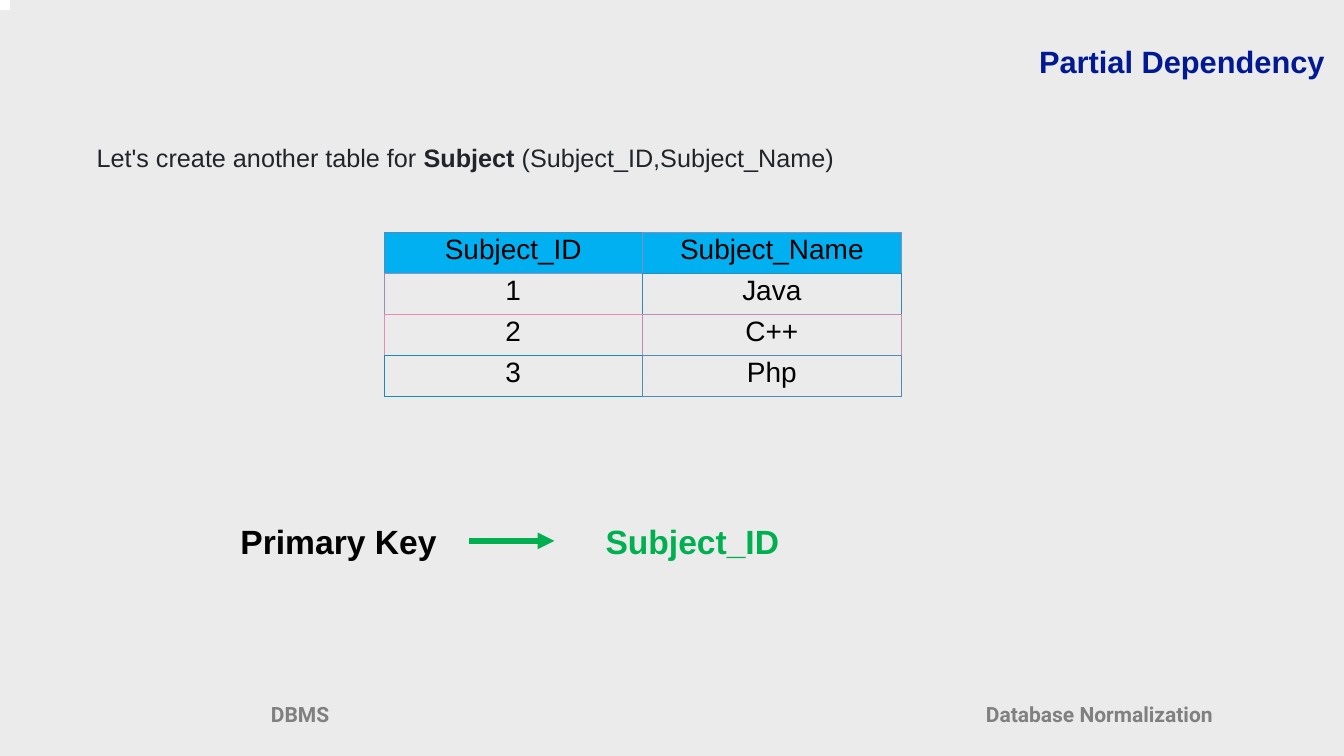
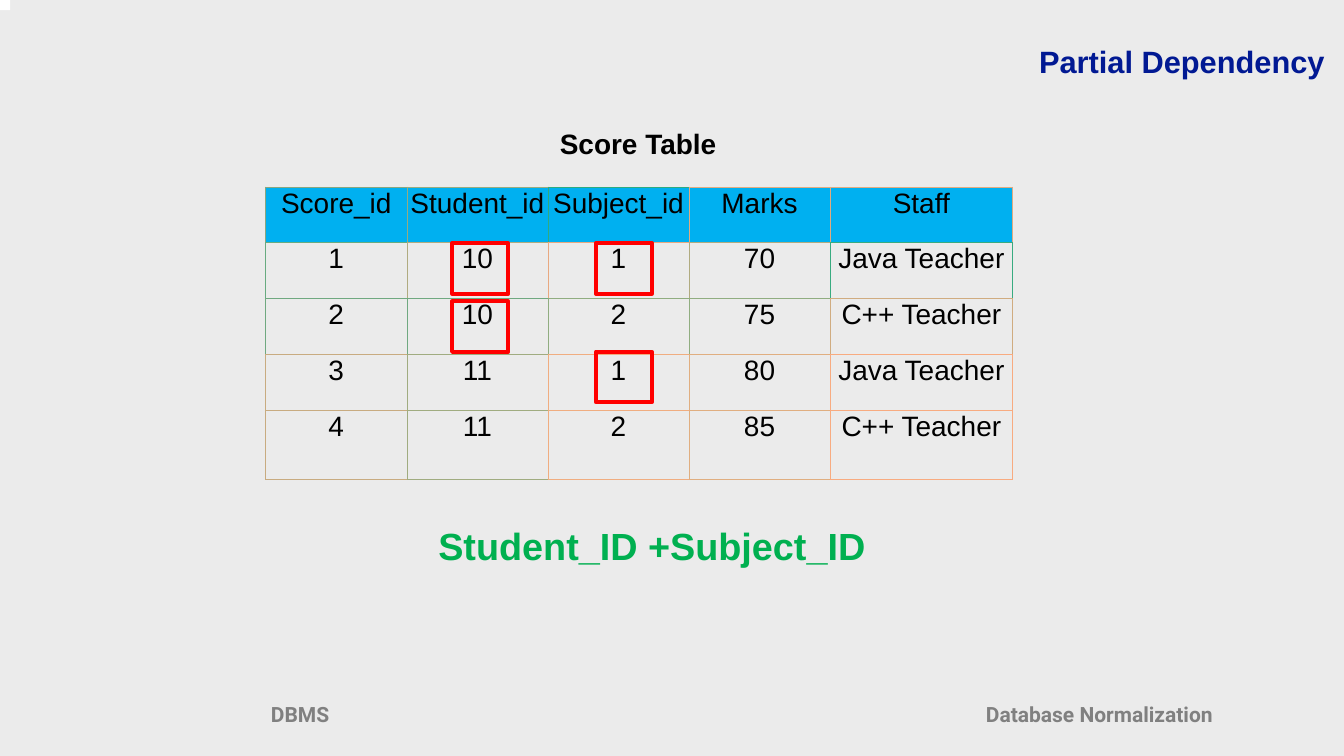
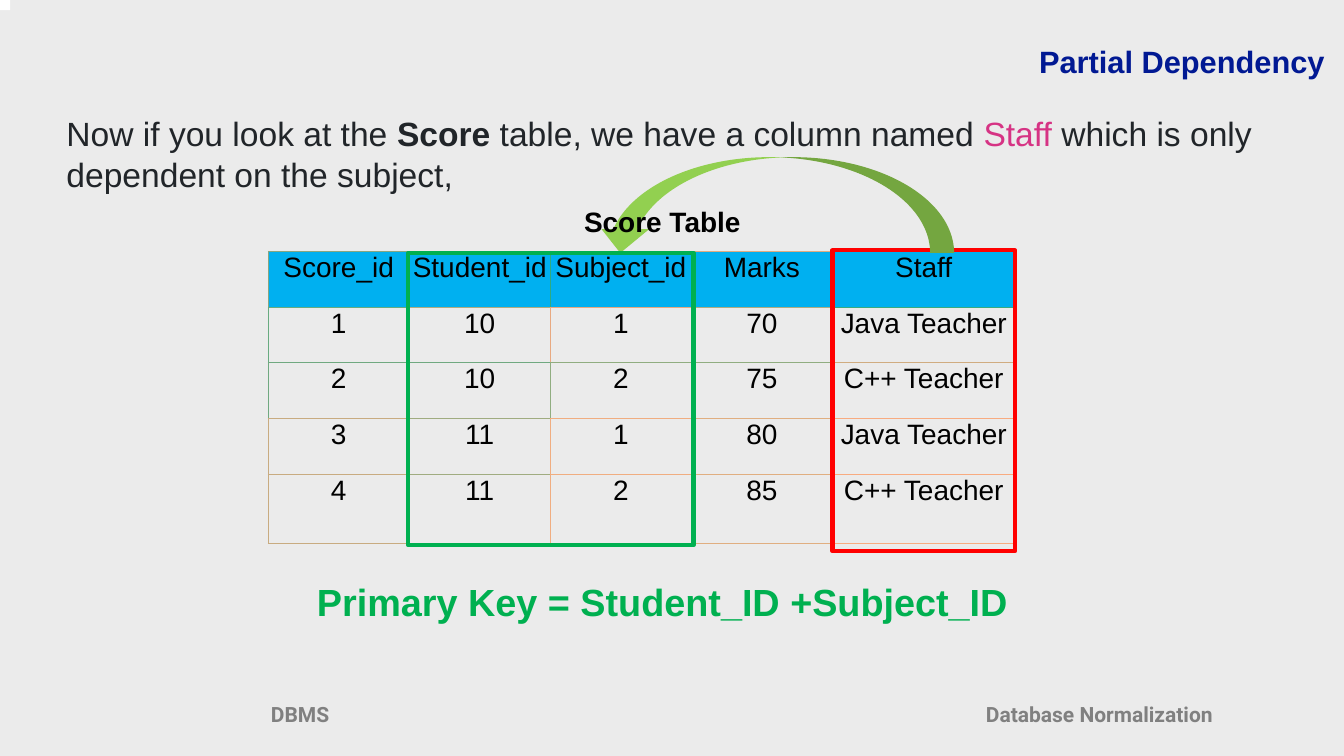
from collections import namedtuple

from lxml import etree
from pptx import Presentation
from pptx import util as u
from pptx.dml.color import RGBColor
from pptx.enum import shapes, text
from pptx.oxml import ns

Box = namedtuple("Box", "left top width height")

BACKGROUND = RGBColor(0xEB, 0xEB, 0xEB)
WHITE = RGBColor(0xFF, 0xFF, 0xFF)
BLACK = RGBColor(0, 0, 0)
GREY = RGBColor(0x80, 0x80, 0x80)
NAVY = RGBColor(0x01, 0x19, 0x93)
INK = RGBColor(0x21, 0x25, 0x29)
PINK = RGBColor(0xD6, 0x33, 0x84)
HEADER_BLUE = RGBColor(0x00, 0xB0, 0xF0)
GREEN = RGBColor(0x00, 0xB0, 0x50)
LIME = RGBColor(0x92, 0xD0, 0x50)
RED = RGBColor(0xFF, 0, 0)

LEFT, CENTER, RIGHT = text.PP_ALIGN.LEFT, text.PP_ALIGN.CENTER, text.PP_ALIGN.RIGHT
MIDDLE, TOP = text.MSO_ANCHOR.MIDDLE, text.MSO_ANCHOR.TOP
INSET = (0.15, 0.15, 0.15, 0.15)

TITLE = {"size": 44, "color": NAVY, "bold": True}
FOOTER = {"name": "Roboto", "size": 30, "color": GREY, "bold": True}
CELL = {"size": 40, "color": BLACK, "bold": False}
CAPTION = {**CELL, "bold": True}
LEAD = {"size": 36, "color": INK, "bold": False}
STATEMENT = {**LEAD, "size": 48}
KEY_LABEL = {"size": 48, "color": BLACK, "bold": True}
KEY = {"size": 54, "color": GREEN, "bold": True}

TITLE_BOX = Box(24.71, 1.98, 42.22, 2.16)
FOOTERS = {"DBMS": Box(6.91, 35.2, 16.43, 1.58),
           "Database Normalization": Box(47.19, 35.2, 16.43, 1.58)}

SUBJECT_ROWS = [("Subject_ID", "Subject_Name"), ("1", "Java"), ("2", "C++"), ("3", "Php")]
SUBJECT_BORDERS = ["588AB6 888DB6", "A08AB6 308BB6", "E88AB6 C08BB6", "188BB6 508CB6"]
SCORE_ROWS = [
    ("Score_id", "Student_id", "Subject_id", "Marks", "Staff"),
    ("1", "10", "1", "70", "Java Teacher"),
    ("2", "10", "2", "75", "C++ Teacher"),
    ("3", "11", "1", "80", "Java Teacher"),
    ("4", "11", "2", "85", "C++ Teacher"),
]
SCORE_BORDERS = [
    "88A680 98AB80 30AA80 E0AB80 E0AB80",
    "68AB80 B0AB80 E8A980 B0AB80 38AB80",
    "70A980 70A980 90AD80 90AD80 D0AC80",
    "C8AB80 A0AC80 F0AD80 E0AE80 F8AB80",
    "C8AB80 A0AC80 F0AD80 E0AE80 F8AB80",
]
SCORE_WIDTHS = [7.11] * 4 + [9.2]
SCORE_HEIGHTS = [2.81] * 4 + [3.5]


def lengths(box):
    """Turn a box in centimetres into slide lengths."""
    return [u.Cm(value) for value in box]


def inside(box, left, top, width, height):
    """Return a box offset from the corner of another."""
    return Box(box.left + left, box.top + top, width, height)


def apply_font(font, style):
    """Set font attributes from a style dict."""
    for name, value in {"name": "Arial", **style}.items():
        if name == "color":
            font.color.rgb = value
        else:
            setattr(font, name, u.Pt(value) if name == "size" else value)


def write(frame, runs, align=CENTER, anchor=MIDDLE, insets=INSET):
    """Fill a text frame with one paragraph of (text, style) runs."""
    settings = {"word_wrap": True, "auto_size": text.MSO_AUTO_SIZE.NONE, "vertical_anchor": anchor}
    sides = ("margin_left", "margin_top", "margin_right", "margin_bottom")
    settings.update(zip(sides, lengths(insets)))
    for name, value in settings.items():
        setattr(frame, name, value)
    paragraph = frame.paragraphs[0]
    paragraph.alignment = align
    for words, style in runs:
        run = paragraph.add_run()
        run.text = words
        apply_font(run.font, style)
    return paragraph


def add_text(slide, box, runs, **layout):
    """Add a text box and return it."""
    shape = slide.shapes.add_textbox(*lengths(box))
    write(shape.text_frame, runs, **layout)
    return shape


def add_filled(slide, kind, box, color):
    """Add a preset shape with a plain fill and no outline."""
    shape = slide.shapes.add_shape(kind, *lengths(box))
    shape.shadow.inherit = False
    shape.fill.solid()
    shape.fill.fore_color.rgb = color
    shape.line.fill.background()
    return shape


def add_highlight(slide, box, color):
    """Add a thick hollow rectangle."""
    shape = slide.shapes.add_shape(shapes.MSO_SHAPE.RECTANGLE, *lengths(box))
    shape.shadow.inherit = False
    shape.fill.background()
    shape.line.color.rgb = color
    shape.line.width = u.Pt(6)


def add_arrow(slide, left, right, height):
    """Add a horizontal green arrow."""
    arrow = slide.shapes.add_connector(
        shapes.MSO_CONNECTOR.STRAIGHT, *lengths((left, height, right, height)))
    arrow.line.color.rgb = GREEN
    arrow.line.width = u.Pt(8)
    properties = arrow._element.spPr
    etree.SubElement(properties.find(ns.qn("a:ln")), ns.qn("a:tailEnd"), type="triangle")
    etree.SubElement(properties, ns.qn("a:effectLst"))


def set_borders(cell, colors):
    """Draw left, right, top and bottom cell borders."""
    properties = cell._tc.get_or_add_tcPr()
    for side, color in zip("LRTB", colors):
        line = etree.SubElement(properties, ns.qn(f"a:ln{side}"), w=str(u.Pt(0.75)))
        fill = etree.SubElement(line, ns.qn("a:solidFill"))
        etree.SubElement(fill, ns.qn("a:srgbClr"), val=color)


def add_grid(slide, left, top, rows, borders, widths, heights, insets):
    """Add a table whose cells share edge colours with the next cells."""
    box = Box(left, top, sum(widths), sum(heights))
    table = slide.shapes.add_table(len(rows), len(widths), *lengths(box)).table
    table.first_row = table.horz_banding = False
    for column, width in zip(table.columns, widths):
        column.width = u.Cm(width)
    for row, height in zip(table.rows, heights):
        row.height = u.Cm(height)
    colors = [line.split() for line in borders]
    last_row, last_column = len(rows) - 1, len(widths) - 1
    for r, values in enumerate(rows):
        for c, value in enumerate(values):
            cell = table.cell(r, c)
            own = colors[r][c]
            following = colors[r][min(c + 1, last_column)]
            below = colors[min(r + 1, last_row)][c]
            set_borders(cell, (own, following, own, below))
            if r == 0:
                cell.fill.solid()
                cell.fill.fore_color.rgb = HEADER_BLUE
            else:
                cell.fill.background()
            sides = ("margin_left", "margin_top", "margin_right", "margin_bottom")
            for name, inset in zip(sides, lengths(insets)):
                setattr(cell, name, inset)
            paragraph = cell.text_frame.paragraphs[0]
            paragraph.alignment = CENTER
            run = paragraph.add_run()
            run.text = value
            apply_font(run.font, CELL)
    return box


def add_score_table(slide, left, top):
    """Add the score table and return its box."""
    return add_grid(slide, left, top, SCORE_ROWS, SCORE_BORDERS,
                    SCORE_WIDTHS, SCORE_HEIGHTS, (0.13, 0.05, 0.13, 0.05))


def add_key_row(slide, box):
    """Add the primary key label, an arrow and the key."""
    shape = add_text(slide, box, [], align=LEFT, insets=(0.28, 0.15, 0.15, 0.15))
    paragraph = shape.text_frame.paragraphs[0]
    tabs = etree.SubElement(paragraph._p.get_or_add_pPr(), ns.qn("a:tabLst"))
    etree.SubElement(tabs, ns.qn("a:tab"), pos=str(u.Cm(18.4)), algn="l")
    for words, style in (("Primary Key\t", KEY_LABEL), ("Subject_ID", {**KEY_LABEL, "color": GREEN})):
        run = paragraph.add_run()
        run.text = words
        apply_font(run.font, style)
    add_arrow(slide, box.left + 11.81, box.left + 16.1, box.top + box.height / 2)


def prepare_layout(presentation):
    """Give the title layout its background, title place and footers."""
    layout = presentation.slide_layouts[5]
    fill = presentation.slide_master.background.fill
    fill.solid()
    fill.fore_color.rgb = BACKGROUND
    title = layout.placeholders[0]
    for name, value in zip(Box._fields, lengths(TITLE_BOX)):
        setattr(title, name, value)
    return layout


def add_layout_footers(layout, slide):
    """Build the footers on a slide and move them to its layout."""
    for words, box in FOOTERS.items():
        footer = add_text(slide, box, [(words, FOOTER)])
        layout.shapes._spTree.append(footer._element)


def start_slide(presentation, layout):
    """Add a slide with the shared title and corner mark."""
    slide = presentation.slides.add_slide(layout)
    write(slide.shapes.title.text_frame, [("Partial Dependency", TITLE)], align=RIGHT)
    add_filled(slide, shapes.MSO_SHAPE.RECTANGLE, Box(0, -0.51, 0.51, 1.02), WHITE)
    return slide


def build_subject_slide(slide):
    """Show the subject table and its primary key."""
    add_grid(slide, 19.35, 11.71, SUBJECT_ROWS, SUBJECT_BORDERS,
             [13.03] * 2, [2.07] * 4, (0.23, 0.1, 0.23, 0.1))
    lead = [("Let's create another table for ", LEAD), ("Subject", {**LEAD, "bold": True}),
            (" (Subject_ID,Subject_Name)", LEAD)]
    add_text(slide, Box(4.62, 7.04, 58.24, 1.8), lead,
             align=LEFT, anchor=TOP, insets=(0.25, 0.13, 0.25, 0.13))
    add_key_row(slide, Box(11.84, 26.09, 27.94, 2.34))


def build_score_slide(slide):
    """Show the score table with repeated ids marked."""
    table = add_score_table(slide, 13.39, 9.42)
    for left, top in ((9.4, 5.77), (9.4, 2.84), (16.64, 2.84), (16.64, 8.31)):
        add_highlight(slide, inside(table, left, top, 2.82, 2.54), RED)
    add_text(slide, Box(14.05, 26.21, 37.62, 2.59), [("Student_ID +Subject_ID", KEY)])
    add_text(slide, Box(22.78, 6.2, 18.75, 2.01), [("Score Table", CAPTION)])


def build_staff_slide(slide):
    """Show that the staff column depends on the subject only."""
    statement = [("Now if you look at the ", STATEMENT), ("Score", {**STATEMENT, "bold": True}),
                 (" table, we have a column named ", STATEMENT),
                 ("Staff", {**STATEMENT, "color": PINK}),
                 (" which is only dependent on the subject,", STATEMENT)]
    add_text(slide, Box(3.2, 5.54, 60.35, 4.39), statement, align=LEFT)
    table = add_score_table(slide, 13.51, 12.65)
    add_highlight(slide, inside(table, sum(SCORE_WIDTHS[:4]), -0.03, 9.2, 15.16), RED)
    arrow = add_filled(slide, shapes.MSO_SHAPE.CURVED_RIGHT_ARROW,
                       Box(36.65, 1.32, 4.83, 18.03), LIME)
    arrow.rotation = 90
    add_highlight(slide, inside(table, 7.06, 0.1, 14.38, 14.73), GREEN)
    add_text(slide, Box(14.58, 29.03, 37.62, 2.59),
             [("Primary Key = Student_ID +Subject_ID", KEY)])
    add_text(slide, Box(24, 10.13, 18.75, 2.01), [("Score Table", CAPTION)])


def main():
    """Build and save the presentation."""
    presentation = Presentation()
    presentation.slide_width, presentation.slide_height = u.Cm(67.73), u.Cm(38.1)
    layout = prepare_layout(presentation)
    for build in (build_subject_slide, build_score_slide, build_staff_slide):
        build(start_slide(presentation, layout))
    add_layout_footers(layout, presentation.slides[0])
    presentation.save("out.pptx")


if __name__ == "__main__":
    main()
